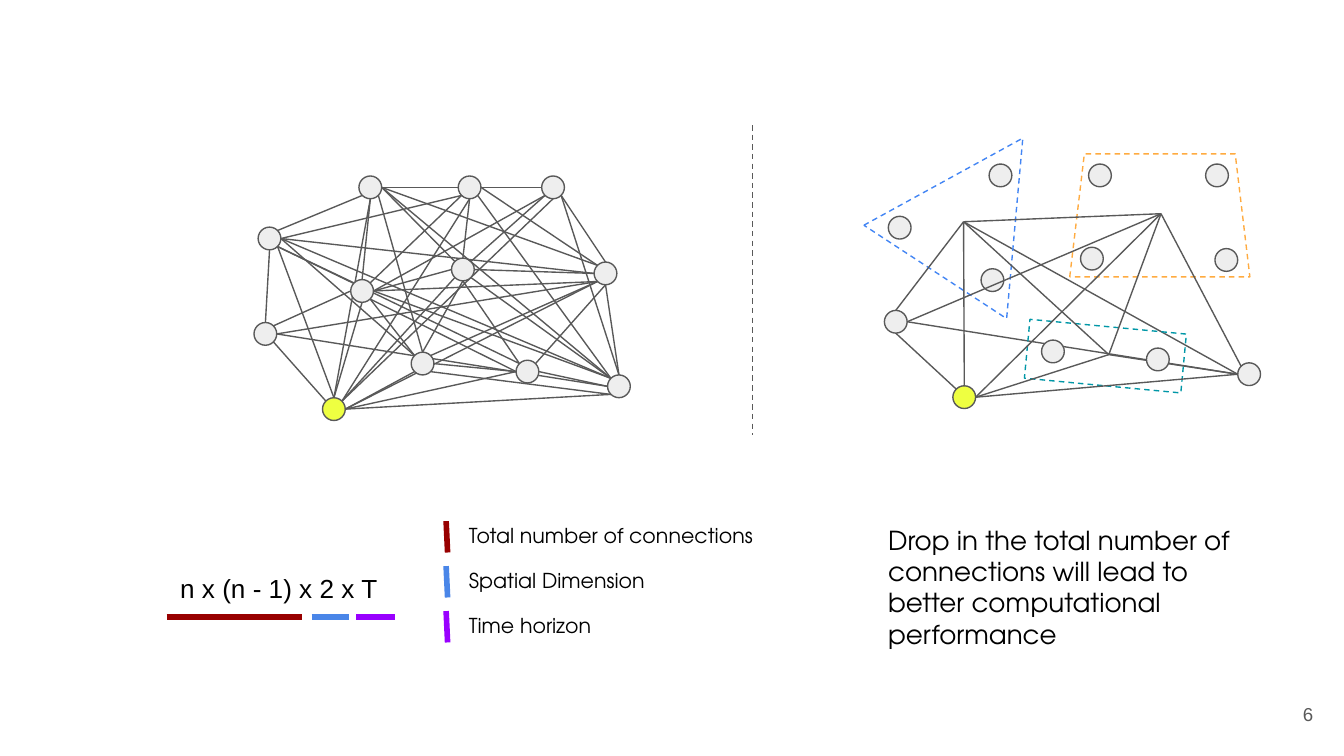
"""Compare a fully connected graph with a grouped graph and its cheaper connections."""
from dataclasses import dataclass

from lxml import etree
from pptx import Presentation
from pptx.dml.color import RGBColor
from pptx.enum import dml, shapes, text
from pptx.oxml import ns
from pptx.util import Pt


@dataclass(frozen=True)
class Theme:
    ink: str = "000000"
    edge: str = "595959"
    node: str = "EEEEEE"
    target: str = "EEFF41"
    connections: str = "980000"
    spatial: str = "4A86E8"
    horizon: str = "9900FF"
    triangle_group: str = "4285F4"
    trapezoid_group: str = "FFAB40"
    box_group: str = "0097A7"
    body_font: str = "TeX Gyre Adventor"
    plain_font: str = "Arial"
    body_size: float = 14
    legend_size: float = 11
    number_size: float = 10
    thin: float = 0.75
    thick: float = 3
    node_size: float = 12.2


RADIUS = Theme.node_size / 2
DIAGONAL = 4.32
SIDES = {
    "c": (0, 0), "n": (0, -RADIUS), "s": (0, RADIUS), "w": (-RADIUS, 0), "e": (RADIUS, 0),
    "nw": (-DIAGONAL, -DIAGONAL), "ne": (DIAGONAL, -DIAGONAL),
    "sw": (-DIAGONAL, DIAGONAL), "se": (DIAGONAL, DIAGONAL),
}

FULL_NODES = {
    "A": (144.4, 127.8), "B": (198.4, 100.4), "C": (194, 155.9), "D": (296.3, 100.4),
    "E": (248, 144.4), "F": (142.2, 178.9), "G": (226.4, 194.8), "H": (331.6, 207),
    "I": (324.4, 146.5), "J": (282.6, 199.1), "K": (251.6, 100.4), "L": (178.9, 219.2),
}
FULL_BACK = "A.se-J.nw A.e-I.w D.s-L.ne L.e-I.sw B.s-L.n F.e-H.w"
FULL_FRONT = """
    A.s-F.n A.se-C.nw F.se-L.nw A.ne-B.sw A.e-K.sw B.e-K.w K.e-D.w K.s-E.n E.ne-D.sw
    D.se-I.n E.e-I.w I.s-H.n H.w-J.e E.s-J.nw G.n-E.s C.se-G.nw L.n-C.s L.e-G.sw
    C.e-E.w C.n-B.s C.w-F.ne C.ne-K.sw C.se-J.w C.e-D.sw C.e-H.nw C.e-I.sw H.n-D.se
    H.nw-K.se B.e-H.nw E.se-H.nw A.e-H.nw G.e-J.w L.e-H.sw G.se-H.sw L.n-A.se
    L.ne-K.s L.ne-E.sw L.e-J.w I.s-J.ne B.e-I.nw F.e-I.sw B.se-G.n B.e-E.nw
    A.e-G.nw K.e-I.nw G.ne-I.sw
"""

GROUPED_NODES = {
    "A": (482, 122), "B": (536, 94), "C": (531.7, 150.1), "D": (652, 94),
    "E": (585, 138.6), "F": (479.9, 172.4), "G": (564.1, 188.3), "H": (669.2, 200.5),
    "I": (657, 139.3), "J": (620.3, 192.6), "K": (589.3, 94), "L": (516.6, 212.8),
}
GROUP_HUBS = {"P": (516.2, 118.8), "Q": (622, 114.5), "R": (594, 190)}
GROUPED_BACK = "F.e-H.w P.c-H.w R.c-H.w"
GROUPED_FRONT = """
    P.c-L.n P.c-F.n F.s-L.nw Q.c-L.e P.c-Q.c Q.c-H.nw
    L.e-H.w R.c-L.e Q.c-R.c F.e-Q.c P.c-R.c
"""


class Sketch:
    def __init__(self, slide, theme):
        self.slide = slide
        self.theme = theme

    def line(self, start, end, color, width, dashed=False):
        connector = self.slide.shapes.add_connector(
            shapes.MSO_CONNECTOR.STRAIGHT, *map(Pt, (*start, *end)))
        self.stroke(connector.line, color, width, dashed)
        etree.SubElement(connector._element.spPr, ns.qn("a:effectLst"))

    def stroke(self, line, color, width, dashed=False):
        line.color.rgb = RGBColor.from_string(color)
        line.width = Pt(width)
        if dashed:
            line.dash_style = dml.MSO_LINE.DASH

    def node(self, center, color):
        size = self.theme.node_size
        x, y = center
        circle = self.slide.shapes.add_shape(
            shapes.MSO_SHAPE.OVAL, *map(Pt, (x - size / 2, y - size / 2, size, size)))
        circle.shadow.inherit = False
        circle.fill.solid()
        circle.fill.fore_color.rgb = RGBColor.from_string(color)
        self.stroke(circle.line, self.theme.edge, self.theme.thin)

    def nodes(self, centers):
        for name, center in centers.items():
            self.node(center, self.theme.target if name == "L" else self.theme.node)

    def edges(self, centers, pairs):
        for pair in pairs.split():
            ends = []
            for end in pair.split("-"):
                name, side = end.split(".")
                ends.append([c + d for c, d in zip(centers[name], SIDES[side])])
            self.line(*ends, self.theme.edge, self.theme.thin)

    def group(self, kind, box, color, rotation=0, adjustment=None):
        outline = self.slide.shapes.add_shape(kind, *map(Pt, box))
        outline.shadow.inherit = False
        outline.fill.background()
        outline.rotation = rotation
        if adjustment is not None:
            outline.adjustments[0] = adjustment
        self.stroke(outline.line, color, self.theme.thin, dashed=True)

    def label(self, words, box, size, font=Theme.body_font, color=Theme.ink,
              align=text.PP_ALIGN.LEFT, anchor=text.MSO_ANCHOR.TOP):
        frame = self.slide.shapes.add_textbox(*map(Pt, box)).text_frame
        frame.word_wrap = True
        frame.vertical_anchor = anchor
        frame.margin_left = frame.margin_right = Pt(7.2)
        frame.margin_top = frame.margin_bottom = Pt(7.2)
        paragraph = frame.paragraphs[0]
        paragraph.text = words
        paragraph.alignment = align
        paragraph.font.size = Pt(size)
        paragraph.font.name = font
        paragraph.font.color.rgb = RGBColor.from_string(color)


def main():
    deck = Presentation()
    deck.slide_width, deck.slide_height = Pt(720), Pt(405)
    theme = Theme()
    sketch = Sketch(deck.slides.add_slide(deck.slide_layouts[6]), theme)

    grouped_points = {**GROUPED_NODES, **GROUP_HUBS}
    sketch.edges(grouped_points, GROUPED_BACK)
    sketch.group(shapes.MSO_SHAPE.TRAPEZOID, (573.1, 82.4, 96.5, 65.9),
                 theme.trapezoid_group, adjustment=0.119)
    sketch.edges(FULL_NODES, FULL_BACK)
    sketch.nodes(FULL_NODES)
    sketch.edges(FULL_NODES, FULL_FRONT)

    sketch.line((403.2, 67), (403.2, 233.3), theme.edge, theme.thin, dashed=True)

    sketch.nodes(GROUPED_NODES)
    sketch.group(shapes.MSO_SHAPE.ISOSCELES_TRIANGLE, (478.8, 67, 91.4, 85.7),
                 theme.triangle_group, rotation=33.2)
    sketch.group(shapes.MSO_SHAPE.RECTANGLE, (550.1, 175, 84.2, 31.7),
                 theme.box_group, rotation=5.4)
    sketch.edges(grouped_points, GROUPED_FRONT)

    sketch.label("n x (n - 1) x 2 x T", (39.6, 299.5, 219.6, 31.7), theme.body_size,
                 font=theme.plain_font, align=text.PP_ALIGN.CENTER)
    factors = [
        ("Total number of connections", theme.connections, 89.3, 162),
        ("Spatial Dimension", theme.spatial, 167, 187.2),
        ("Time horizon", theme.horizon, 190.8, 211.7),
    ]
    for row, (meaning, color, left, right) in enumerate(factors):
        drop = row * 24.1
        sketch.line((left, 330.5), (right, 330.5), color, theme.thick)
        sketch.line((239.8, 296 + drop), (239, 279.2 + drop), color, theme.thick)
        sketch.label(meaning, (244.1, 273.8 + drop, 206.6, 28.1), theme.legend_size)

    sketch.label("Drop in the total number of connections will lead to better "
                 "computational performance", (468.7, 273.6, 211.7, 82.1), theme.body_size)
    sketch.label("6", (667.4, 367.2, 43.2, 31), theme.number_size, font=theme.plain_font,
                 color=theme.edge, align=text.PP_ALIGN.RIGHT, anchor=text.MSO_ANCHOR.MIDDLE)
    deck.save("out.pptx")


if __name__ == "__main__":
    main()
